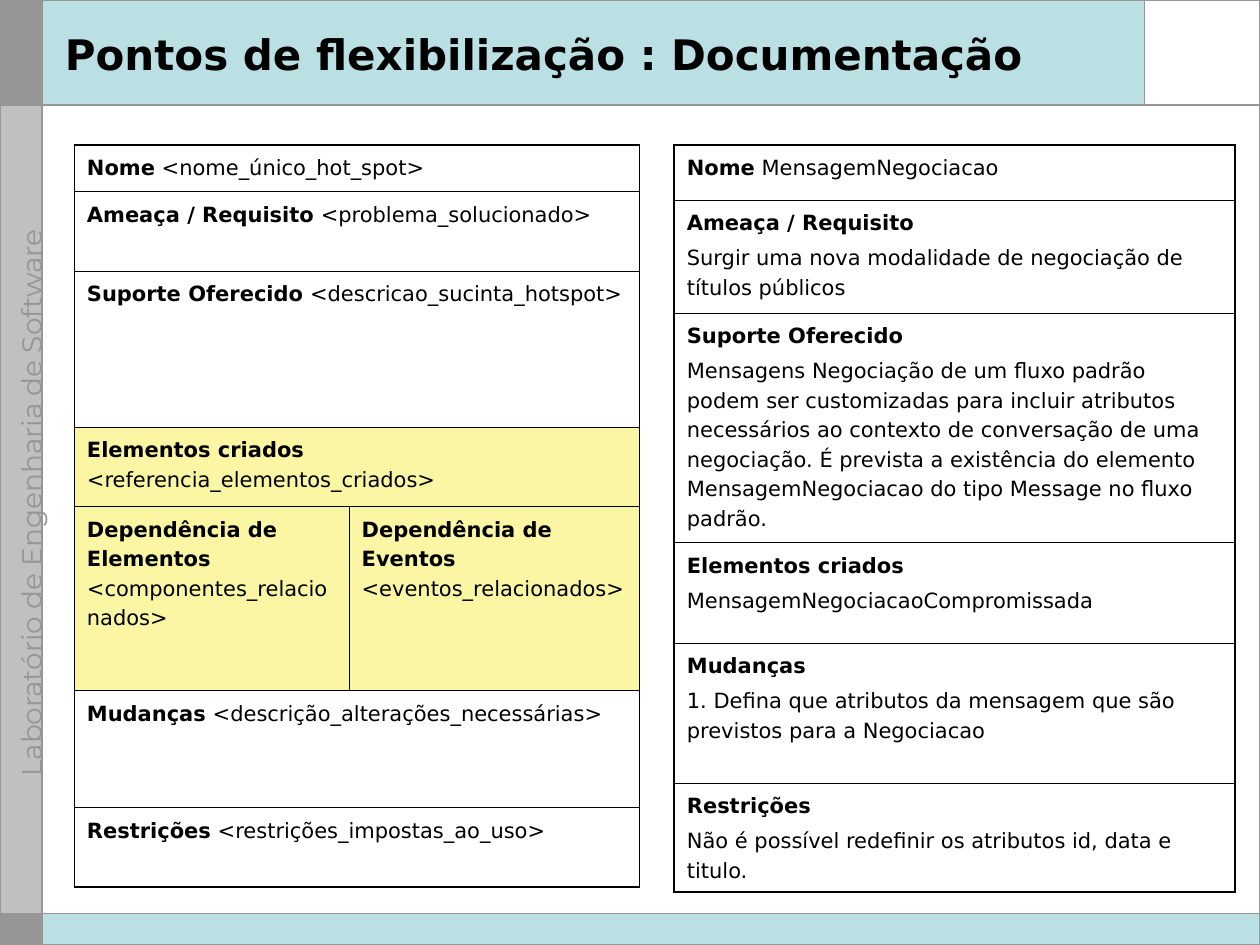
from dataclasses import dataclass
from lxml.etree import SubElement
from pptx import Presentation
from pptx.dml.color import RGBColor
from pptx.enum.shapes import MSO_CONNECTOR as CONN, MSO_SHAPE as SHAPE
from pptx.enum.text import MSO_ANCHOR as ANCHOR, PP_ALIGN as ALIGN
from pptx.oxml.ns import qn
from pptx.util import Pt


@dataclass(frozen=True)
class Theme:
    font: str = "DejaVu Sans"
    side_font: str = "Montserrat"
    title_size: float = 24
    side_size: float = 16
    body_size: float = 12
    text: str = "000000"
    gray: str = "969696"
    light_gray: str = "C0C0C0"
    teal: str = "BBE0E3"
    white: str = "FFFFFF"
    yellow: str = "FAF6A4"
    rule: float = 1
    thin: float = 0.45
    thick: float = 1.08


@dataclass(frozen=True)
class Entry:
    label: str
    value: str
    stacked: bool = False


@dataclass(frozen=True)
class Row:
    height: float
    entries: tuple
    fill: str | None = None


T = Theme()
WIDTH, HEIGHT = 720, 540
SIDE, HEADER, FOOTER = 24, 60, 18


def rgb(value):
    return RGBColor.from_string(value)


def style_font(font, name, size, color):
    font.name, font.size = name, Pt(size)
    font.color.rgb = rgb(color)


def add_rect(slide, box, fill=None, line=None, weight=0.75):
    sp = slide.shapes.add_shape(SHAPE.RECTANGLE, *map(Pt, box))
    sp.shadow.inherit = False
    if fill:
        sp.fill.solid()
        sp.fill.fore_color.rgb = rgb(fill)
    else:
        sp.fill.background()
    if line:
        sp.line.color.rgb = rgb(line)
        sp.line.width = Pt(weight)
    else:
        sp.line.fill.background()


def add_rule(slide, x1, y1, x2, y2):
    cxn = slide.shapes.add_connector(CONN.STRAIGHT, *map(Pt, (x1, y1, x2, y2)))
    cxn.line.color.rgb = rgb(T.gray)
    cxn.line.width = Pt(T.rule)
    SubElement(cxn._element.spPr, qn("a:effectLst"))


def add_label(slide, box, text, font, size, color):
    tb = slide.shapes.add_textbox(*map(Pt, box))
    tf = tb.text_frame
    tf.word_wrap = True
    p = tf.paragraphs[0]
    p.text = text
    style_font(p.font, font, size, color)
    return tb


def add_side_label(slide, box, text):
    x, y, w, h = box
    length = 340
    tb = add_label(slide, (x + (w - length) / 2, y + (h - SIDE) / 2, length, SIDE),
                   text, T.side_font, T.side_size, T.gray)
    tb.rotation = 270
    tb.text_frame.margin_top = tb.text_frame.margin_bottom = 0
    tb.text_frame.paragraphs[0].alignment = ALIGN.CENTER


def add_frame(slide, box):
    x, y, w, h = box
    right, bottom = x + w, y + h
    inner, header_end, footer_top = x + SIDE, y + HEADER, bottom - FOOTER
    notch = right - 66
    add_rect(slide, (x, y, SIDE, HEADER), T.gray, T.gray)
    add_rect(slide, (inner, y, w - SIDE, HEADER), T.teal)
    add_rect(slide, (x, header_end, SIDE, footer_top - header_end), T.light_gray, T.light_gray)
    add_rect(slide, (notch, y, right - notch, HEADER), T.white)
    add_rect(slide, (inner, footer_top, w - SIDE, FOOTER), T.teal)
    add_side_label(slide, (x + 8, y + 17.5, SIDE, h),
                   "Laboratório de Engenharia de Software")
    add_rule(slide, notch, y, notch, header_end)
    add_rule(slide, x, header_end, right, header_end)
    add_rect(slide, (x, footer_top, SIDE, FOOTER), T.gray, T.gray)
    add_rule(slide, inner, y, inner, bottom)
    add_rect(slide, box, line=T.gray, weight=T.rule)
    add_rule(slide, x, footer_top, right, footer_top)


def add_title(slide, box, text):
    tb = add_label(slide, box, text, T.font, T.title_size, T.text)
    tb.text_frame.vertical_anchor = ANCHOR.MIDDLE
    tb.text_frame.paragraphs[0].font.bold = True


def set_borders(cell, outer):
    tc_pr = cell._tc.get_or_add_tcPr()
    for side in "LRTB":
        weight = T.thick if side in outer else T.thin
        ln = SubElement(tc_pr, qn(f"a:ln{side}"), w=str(int(Pt(weight))))
        fill = SubElement(ln, qn("a:solidFill"))
        SubElement(fill, qn("a:srgbClr"), val=T.text)


def write_entry(cell, entry):
    tf = cell.text_frame
    p = tf.paragraphs[0]
    if entry.stacked:
        p.text = entry.label
        p.font.bold = True
        p = tf.add_paragraph()
        p.text = entry.value
        p.space_before = Pt(3)
    else:
        for text, bold in ((entry.label, True), (f" {entry.value}", False)):
            r = p.add_run()
            r.text = text
            r.font.bold = bold
    for p in tf.paragraphs:
        p.line_spacing = 1.2
        style_font(p.font, T.font, T.body_size, T.text)


def add_form(slide, left, top, col_widths, rows):
    n_rows, n_cols = len(rows), len(col_widths)
    height = sum(row.height for row in rows)
    frame = slide.shapes.add_table(n_rows, n_cols, *map(Pt, (left, top, sum(col_widths), height)))
    table = frame.table
    table.first_row = table.horz_banding = False
    for column, width in zip(table.columns, col_widths):
        column.width = Pt(width)
    for i, row in enumerate(rows):
        table.rows[i].height = Pt(row.height)
        spans = len(row.entries) < n_cols
        for j in range(n_cols):
            cell = table.cell(i, j)
            edges = {"L": j == 0 or spans, "R": j == n_cols - 1 or spans,
                     "T": i == 0, "B": i == n_rows - 1}
            set_borders(cell, {side for side, on in edges.items() if on})
            if row.fill:
                cell.fill.solid()
                cell.fill.fore_color.rgb = rgb(row.fill)
            else:
                cell.fill.background()
        if spans:
            table.cell(i, 0).merge(table.cell(i, n_cols - 1))
        for j, entry in enumerate(row.entries):
            write_entry(table.cell(i, j), entry)


TEMPLATE = (
    Row(26.6, (Entry("Nome", "<nome_único_hot_spot>"),)),
    Row(45.4, (Entry("Ameaça / Requisito", "<problema_solucionado>"),)),
    Row(89.3, (Entry("Suporte Oferecido", "<descricao_sucinta_hotspot>"),)),
    Row(45.4, (Entry("Elementos criados", "<referencia_elementos_criados>"),), T.yellow),
    Row(105.1, (Entry("Dependência de Elementos", "<componentes_relacionados>"),
                Entry("Dependência de Eventos", "<eventos_relacionados>")), T.yellow),
    Row(67, (Entry("Mudanças", "<descrição_alterações_necessárias>"),)),
    Row(45.4, (Entry("Restrições", "<restrições_impostas_ao_uso>"),)),
)
EXAMPLE = (
    Row(31.6, (Entry("Nome", "MensagemNegociacao"),)),
    Row(64.6, (Entry("Ameaça / Requisito",
                     "Surgir uma nova modalidade de negociação de títulos públicos", True),)),
    Row(131.2, (Entry("Suporte Oferecido",
                      "Mensagens Negociação de um fluxo padrão podem ser customizadas para "
                      "incluir atributos necessários ao contexto de conversação de uma "
                      "negociação. É prevista a existência do elemento MensagemNegociacao "
                      "do tipo Message no fluxo padrão.", True),)),
    Row(57.4, (Entry("Elementos criados", "MensagemNegociacaoCompromissada", True),)),
    Row(80, (Entry("Mudanças", "1. Defina que atributos da mensagem que são previstos "
                   "para a Negociacao", True),)),
    Row(61.6, (Entry("Restrições",
                     "Não é possível redefinir os atributos id, data e titulo.", True),)),
)


def main():
    prs = Presentation()
    prs.slide_width, prs.slide_height = Pt(WIDTH), Pt(HEIGHT)
    slide = prs.slides.add_slide(prs.slide_layouts[6])
    add_frame(slide, (0, 0, WIDTH, HEIGHT))
    add_title(slide, (30, 8.6, 618, 44.6), "Pontos de flexibilização : Documentação")
    add_form(slide, 42.5, 82.8, (157, 166), TEMPLATE)
    add_form(slide, 385.3, 82.8, (320.4,), EXAMPLE)
    prs.save("out.pptx")


if __name__ == "__main__":
    main()
